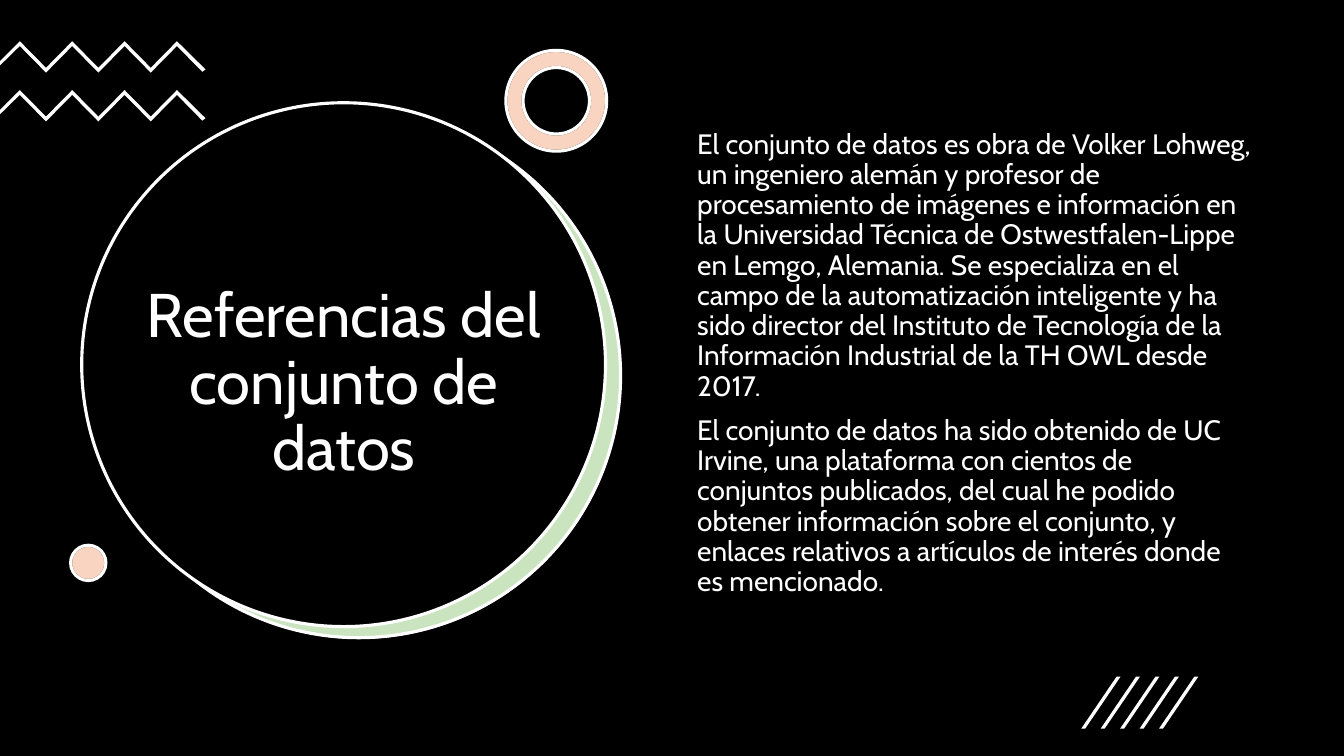
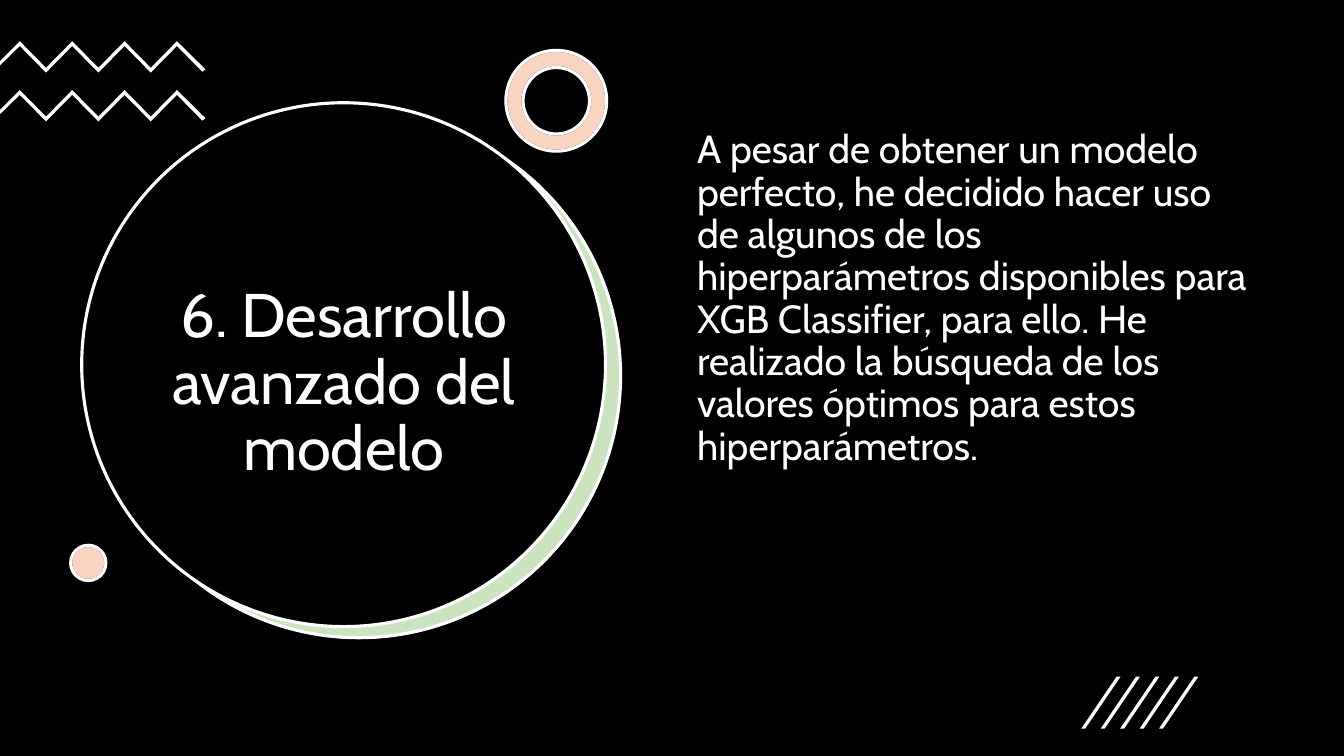
from lxml import etree
from pptx import Presentation
from pptx.dml.color import RGBColor
from pptx.enum.shapes import MSO_SHAPE
from pptx.enum.text import MSO_ANCHOR, PP_ALIGN
from pptx.oxml.ns import qn
from pptx.util import Cm, Pt

COLORS = {"black": "000000", "white": "FFFFFF", "green": "4EA72E", "orange": "E97132"}
FONT = "Cabin"
TINT = 30
TITLE_ONLY = 5
SLIDES = [
    {
        "title": "Referencias del conjunto de datos",
        "size": 20,
        "body": [
            "El conjunto de datos es obra de Volker Lohweg, un ingeniero alemán y profesor de "
            "procesamiento de imágenes e información en la Universidad Técnica de "
            "Ostwestfalen-Lippe en Lemgo, Alemania. Se especializa en el campo de la "
            "automatización inteligente y ha sido director del Instituto de Tecnología de la "
            "Información Industrial de la TH OWL desde 2017.",
            "El conjunto de datos ha sido obtenido de UC Irvine, una plataforma con cientos de "
            "conjuntos publicados, del cual he podido obtener información sobre el conjunto, y "
            "enlaces relativos a artículos de interés donde es mencionado.",
        ],
    },
    {
        "title": "6. Desarrollo avanzado del modelo",
        "size": 28,
        "body": [
            "A pesar de obtener un modelo perfecto, he decidido hacer uso de algunos de los "
            "hiperparámetros disponibles para XGB Classifier, para ello. He realizado la "
            "búsqueda de los valores óptimos para estos hiperparámetros.",
        ],
    },
]


def rgb(name):
    return RGBColor.from_string(COLORS[name])


def paint(shape, fill, line=None, opacity=100):
    shape.shadow.inherit = False
    shape.fill.solid()
    shape.fill.fore_color.rgb = rgb(fill)
    if opacity < 100:
        color = shape.element.spPr.find(qn("a:solidFill"))[0]
        etree.SubElement(color, qn("a:alpha"), val=str(opacity * 1000))
    if line:
        shape.line.color.rgb = rgb(line)
        shape.line.width = Pt(2.25)
    else:
        shape.line.fill.background()


def add_round(slide, left, top, size, fill, line=None, opacity=100, kind=MSO_SHAPE.OVAL):
    shape = slide.shapes.add_shape(kind, Cm(left), Cm(top), Cm(size), Cm(size))
    if kind == MSO_SHAPE.DONUT:
        shape.adjustments[0] = 0.17
    paint(shape, fill, line, opacity)


def add_tinted_round(slide, left, top, size, kind):
    add_round(slide, left, top, size, "white", "black", kind=kind)
    add_round(slide, left, top, size, "orange", "white", TINT, kind)


def add_polygon(group, points):
    corners = [(Cm(x), Cm(y)) for x, y in points]
    builder = group.shapes.build_freeform(*corners[0])
    builder.add_line_segments(corners[1:], close=True)
    paint(builder.convert_to_shape(), "white")


def add_zigzags(slide):
    group = slide.shapes.add_group_shape()
    for top in (1.04, 2.27):
        upper = [(0.5 + 0.66 * i, top + 0.67 * (i % 2)) for i in range(7)]
        lower = [(x, y + 0.12) for x, y in reversed(upper)]
        right_end = [(5.18, top + 0.71), (5.1, top + 0.77)]
        left_end = [(0, top + 0.61), (0, top + 0.5)]
        add_polygon(group, upper + right_end + lower + left_end)


def add_slashes(slide):
    group = slide.shapes.add_group_shape()
    top, bottom = 17.05, 18.36
    for i in range(5):
        left = 27.25 + 0.49 * i
        add_polygon(group, [(left + 0.1, bottom), (left, bottom),
                            (left + 0.89, top), (left + 0.99, top)])


def add_span(para, text, size):
    para.line_spacing = 0.9
    span = para.add_run()
    span.text = text
    span.font.name = FONT
    span.font.size = Pt(size)
    span.font.color.rgb = rgb("white")


def place_title(slide, text):
    title = slide.shapes.title
    title.left, title.top, title.width, title.height = Cm(3.07), Cm(5.21), Cm(11.2), Cm(8.94)
    slide.shapes.element.append(title.element)
    frame = title.text_frame
    frame.word_wrap = True
    frame.vertical_anchor = MSO_ANCHOR.MIDDLE
    para = frame.paragraphs[0]
    para.alignment = PP_ALIGN.CENTER
    add_span(para, text, 44)


def add_body(slide, texts, size):
    box = slide.shapes.add_textbox(Cm(17.32), Cm(3.15), Cm(14.5), Cm(12.09))
    frame = box.text_frame
    frame.word_wrap = True
    for i, text in enumerate(texts):
        para = frame.add_paragraph() if i else frame.paragraphs[0]
        if i:
            para.space_before = Pt(10)
        add_span(para, text, size)


def add_page(deck, content):
    page = deck.slides.add_slide(deck.slide_layouts[TITLE_ONLY])
    add_round(page, 2.46, 2.9, 13.2, "white")
    add_round(page, 2.44, 2.87, 13.2, "green", "white", TINT)
    add_round(page, 2.06, 2.59, 13.2, "black", "white")
    place_title(page, content["title"])
    add_zigzags(page)
    add_tinted_round(page, 12.75, 1.27, 2.54, MSO_SHAPE.DONUT)
    add_tinted_round(page, 1.78, 13.74, 0.89, MSO_SHAPE.OVAL)
    add_body(page, content["body"], content["size"])
    add_slashes(page)


def main():
    deck = Presentation()
    deck.slide_width, deck.slide_height = Cm(33.87), Cm(19.05)
    background = deck.slide_master.background.fill
    background.solid()
    background.fore_color.rgb = rgb("black")
    for content in SLIDES:
        add_page(deck, content)
    deck.save("out.pptx")


if __name__ == "__main__":
    main()
